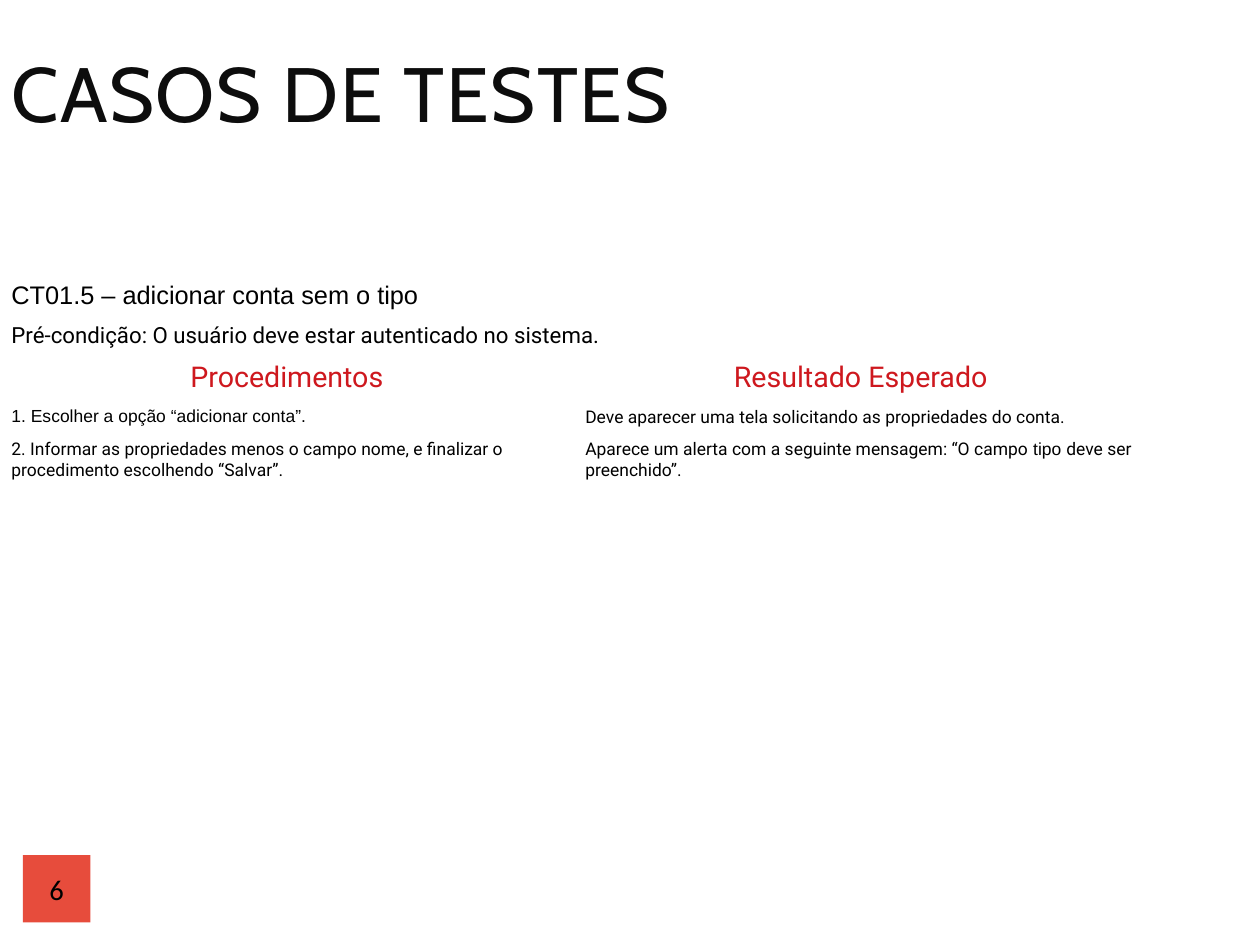
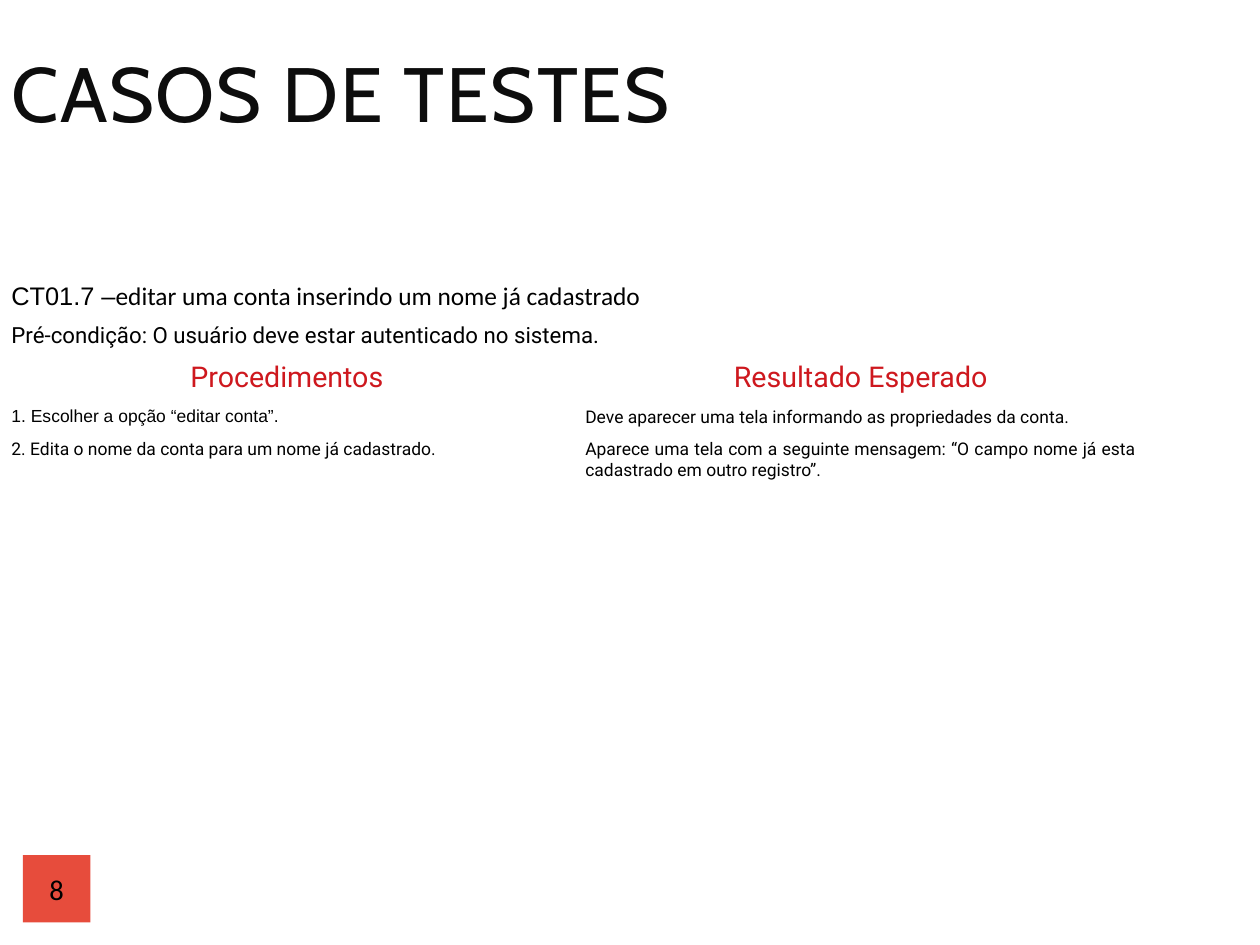
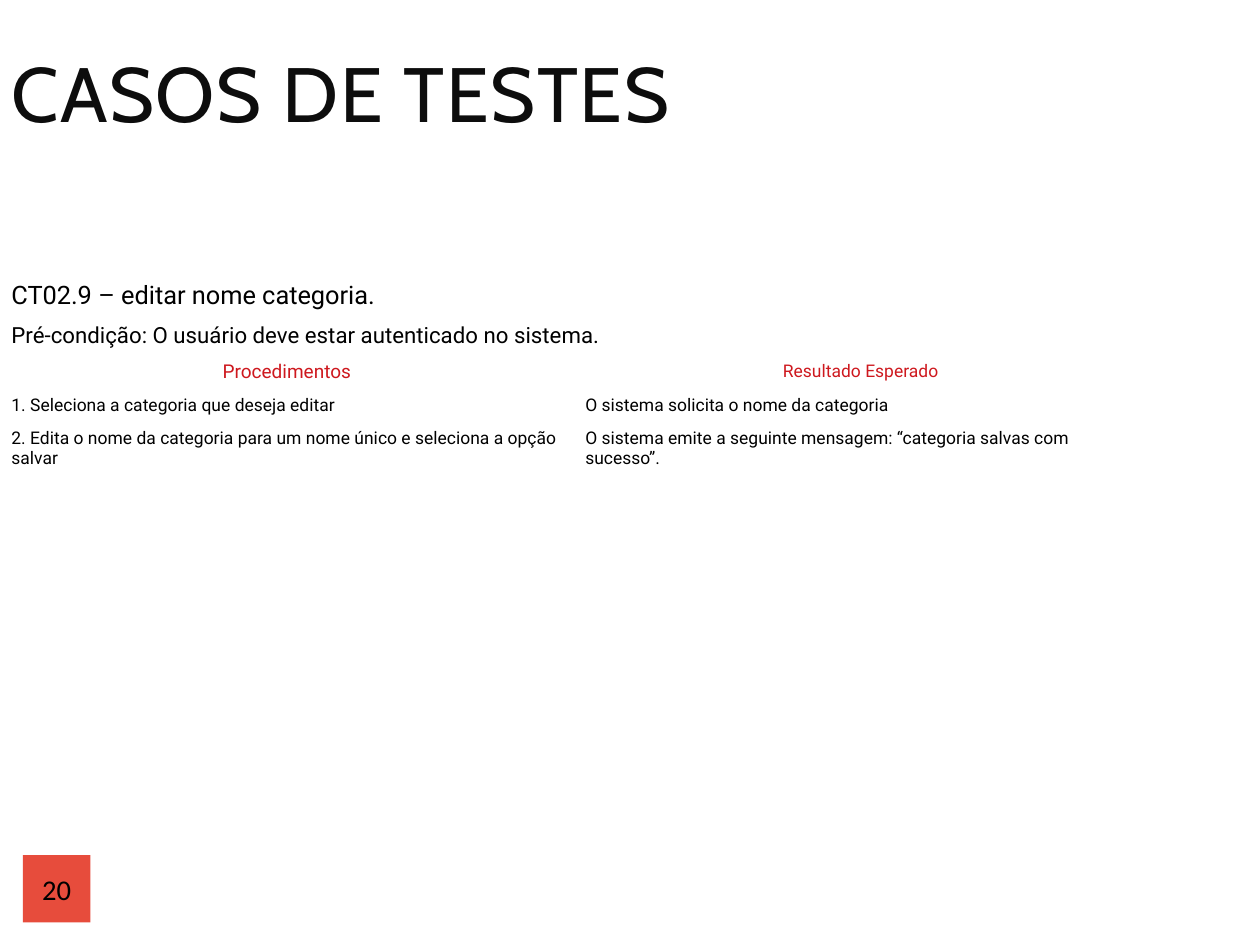
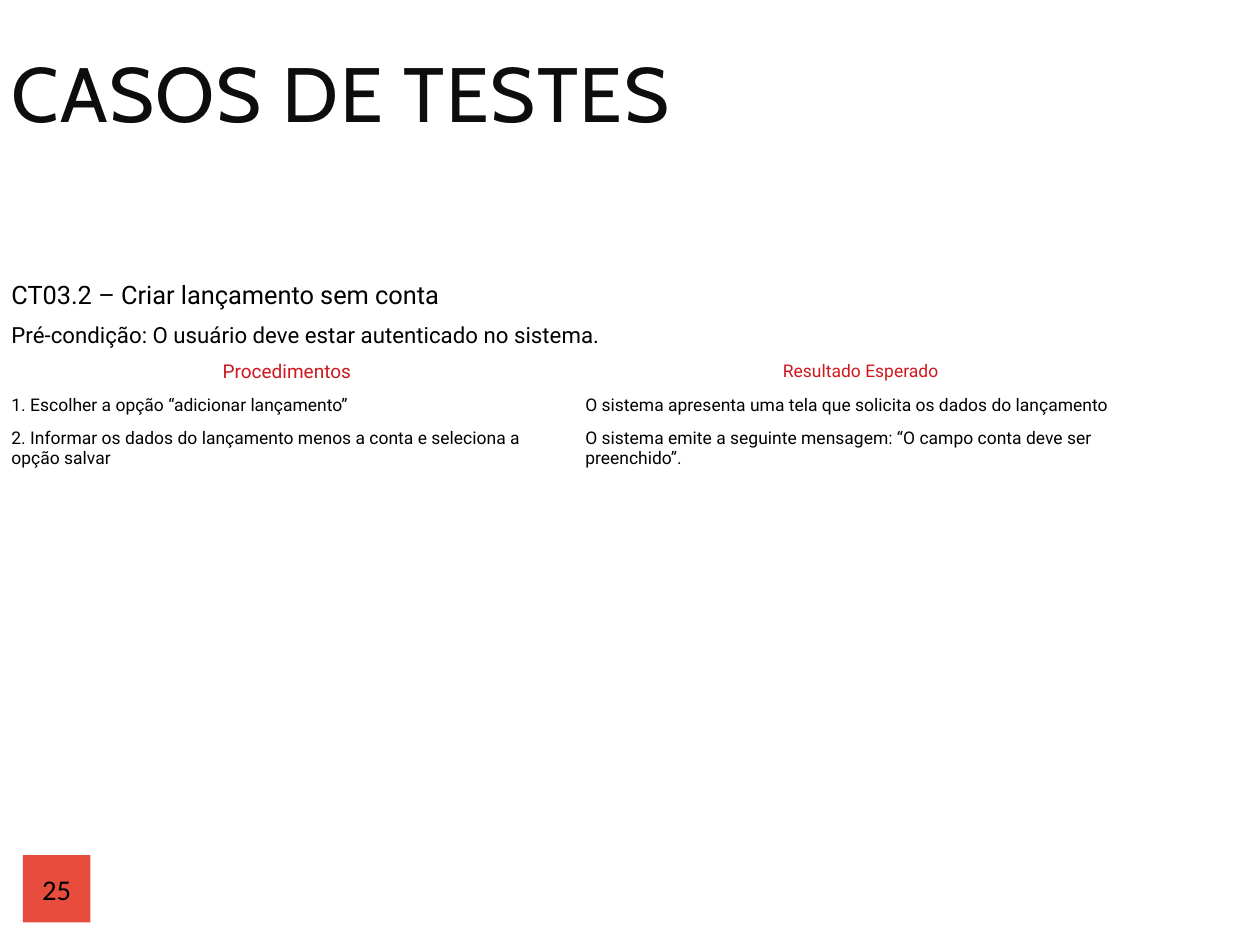
from pptx import Presentation
from pptx.dml.color import RGBColor
from pptx.enum.shapes import MSO_SHAPE
from pptx.enum.text import MSO_ANCHOR, PP_ALIGN
from pptx.util import Pt

COLORS = {"badge": "E74C3C", "title": "0D0D0D", "heading": "CE181E", "text": "000000"}
ARIAL, CALIBRI, ROBOTO, CABIN = "Arial", "Calibri", "Roboto", "Cabin"
COLUMN_WIDTH = 361.5
PRECONDITION = "Pré-condição: O usuário deve estar autenticado no sistema."

# Each text is a string in Roboto or a list of (text, font) runs.
CASES = [
    {
        "page": 6,
        "name": [("CT01.5 – adicionar conta sem o tipo", ARIAL)],
        "heading_sizes": (18, 18),
        "align": PP_ALIGN.LEFT,
        "steps": [
            ([("1. Escolher a opção “adicionar conta”.", ARIAL)],
             "Deve aparecer uma tela solicitando as propriedades do conta."),
            ("2. Informar as propriedades menos o campo nome, e finalizar o "
             "procedimento escolhendo “Salvar”.",
             [("Aparece um alerta com a seguinte mensagem: “O campo ", ROBOTO),
              ("tipo ", ARIAL), ("deve ser preenchido”.", ROBOTO)]),
        ],
    },
    {
        "page": 8,
        "name": [("CT01.7 –", ARIAL),
                 ("editar uma conta inserindo um nome já cadastrado", CALIBRI)],
        "heading_sizes": (18, 18),
        "align": PP_ALIGN.JUSTIFY,
        "steps": [
            ([("1. Escolher a opção “editar conta”.", ARIAL)],
             "Deve aparecer uma tela informando as propriedades da conta."),
            ("2. Edita o nome da conta para um nome já cadastrado.",
             "Aparece uma tela com a seguinte mensagem: “O campo nome já esta "
             "cadastrado em outro registro”."),
        ],
    },
    {
        "page": 20,
        "name": "CT02.9 – editar nome categoria.",
        "heading_sizes": (12, 11),
        "align": PP_ALIGN.LEFT,
        "steps": [
            ("1. Seleciona a categoria que deseja editar",
             "O sistema solicita o nome da categoria"),
            ("2. Edita o nome da categoria para um nome único e seleciona a opção salvar",
             "O sistema emite a seguinte mensagem: “categoria salvas com sucesso”."),
        ],
    },
    {
        "page": 25,
        "name": "CT03.2 – Criar lançamento sem conta",
        "heading_sizes": (12, 11),
        "align": PP_ALIGN.LEFT,
        "steps": [
            ("1. Escolher a opção “adicionar lançamento”",
             "O sistema apresenta uma tela que solicita os dados do lançamento"),
            ("2. Informar os dados do lançamento menos a conta e seleciona a opção salvar",
             "O sistema emite a seguinte mensagem: “O campo conta deve ser preenchido”."),
        ],
    },
]


def write(tf, text, size, color="text", align=PP_ALIGN.LEFT):
    """Fill the first paragraph of a text frame, run by run."""
    p = tf.paragraphs[0]
    p.alignment = align
    for words, font in [(text, ROBOTO)] if isinstance(text, str) else text:
        r = p.add_run()
        r.text = words
        r.font.name = font
        r.font.size = Pt(size)
        r.font.color.rgb = RGBColor.from_string(COLORS[color])
    return p


def add_page_badge(s, page):
    sp = s.shapes.add_shape(MSO_SHAPE.RECTANGLE, Pt(14.4), Pt(538.6), Pt(42.5), Pt(42.5))
    sp.shadow.inherit = False
    sp.fill.solid()
    sp.fill.fore_color.rgb = RGBColor.from_string(COLORS["badge"])
    sp.line.fill.background()
    tf = sp.text_frame
    tf.margin_left = tf.margin_right = tf.margin_top = tf.margin_bottom = 0
    tf.vertical_anchor = MSO_ANCHOR.MIDDLE
    write(tf, [(str(page), CALIBRI)], 18, align=PP_ALIGN.CENTER)


def add_title(s, text):
    tf = s.shapes.add_textbox(0, Pt(28), Pt(737.3), Pt(70.6)).text_frame
    tf.word_wrap = True
    tf.vertical_anchor = MSO_ANCHOR.MIDDLE
    p = write(tf, [(text, CABIN)], 48.5, "title")
    p.line_spacing = 0.8
    # Letter spacing, in hundredths of a point
    p.runs[0].font._element.set("spc", "110")


def add_case_table(s, case):
    heading_height = max(case["heading_sizes"]) * 1.2 + 6
    heights = [26, 23, heading_height, 19.5, 31.5]
    table = s.shapes.add_table(len(heights), 2, 0, Pt(173.5),
                               Pt(2 * COLUMN_WIDTH), Pt(sum(heights))).table
    table.first_row = table.horz_banding = False
    for column in table.columns:
        column.width = Pt(COLUMN_WIDTH)
    for row, height in zip(table.rows, heights):
        row.height = Pt(height)
        for cell in row.cells:
            cell.fill.background()

    # Case name and precondition span both columns
    for i, (text, size) in enumerate([(case["name"], 16), (PRECONDITION, 14)]):
        table.cell(i, 0).merge(table.cell(i, 1))
        write(table.cell(i, 0).text_frame, text, size)

    # Column headings
    headings = zip(("Procedimentos", "Resultado Esperado"), case["heading_sizes"])
    for j, (text, size) in enumerate(headings):
        write(table.cell(2, j).text_frame, text, size, "heading", PP_ALIGN.CENTER)

    # Steps and expected results
    for i, step in enumerate(case["steps"], start=3):
        for j, text in enumerate(step):
            write(table.cell(i, j).text_frame, text, 11, align=case["align"])


def main():
    prs = Presentation()
    prs.slide_width, prs.slide_height = Pt(793.7), Pt(595.3)
    for case in CASES:
        s = prs.slides.add_slide(prs.slide_layouts[6])
        add_page_badge(s, case["page"])
        add_title(s, "CASOS DE TESTES")
        add_case_table(s, case)
    prs.save("out.pptx")


if __name__ == "__main__":
    main()
